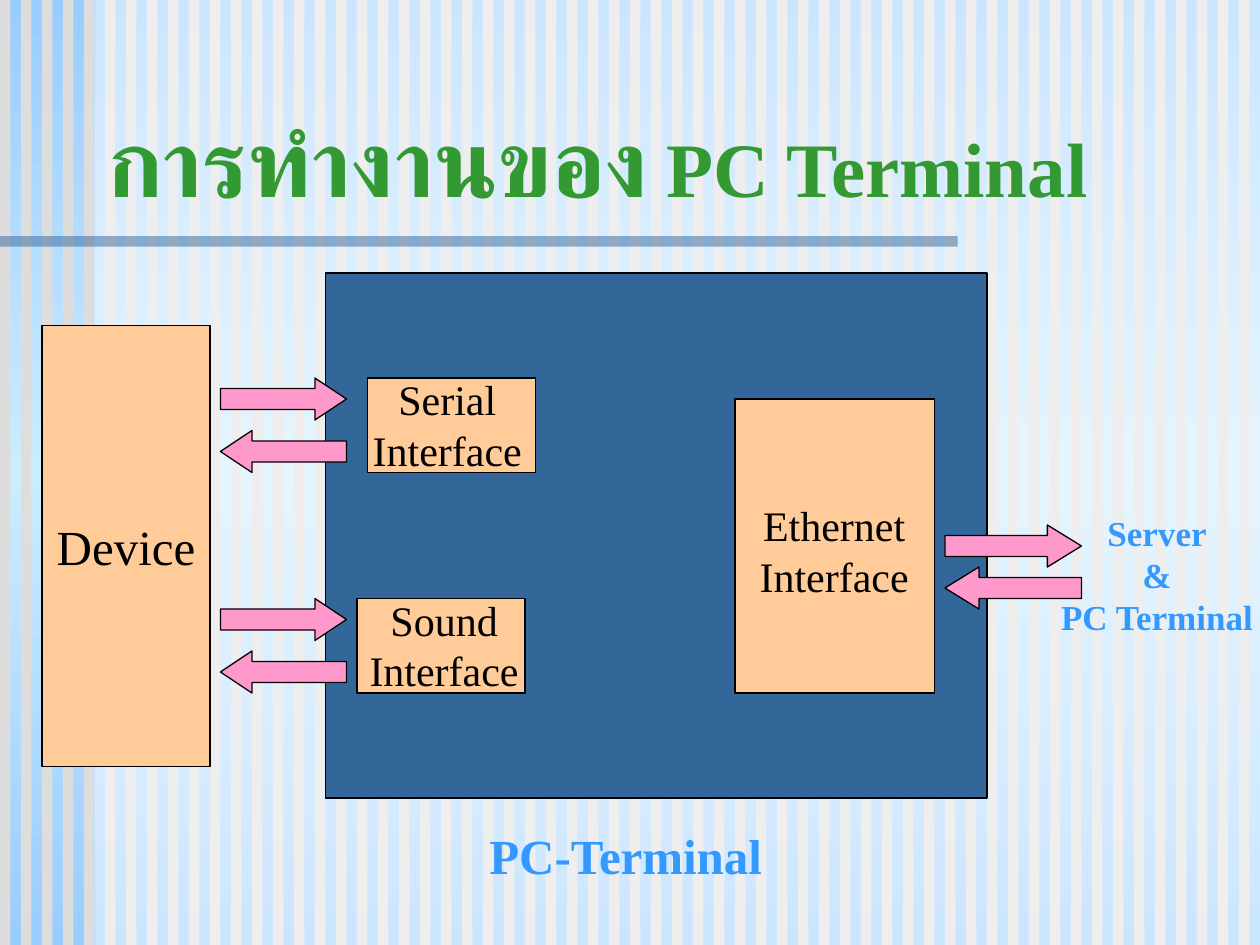
from copy import deepcopy
from typing import NamedTuple

from lxml.etree import SubElement
from pptx import Presentation
from pptx.dml.color import RGBColor
from pptx.enum.shapes import MSO_SHAPE
from pptx.enum.text import MSO_ANCHOR, MSO_AUTO_SIZE, PP_ALIGN
from pptx.oxml.ns import qn
from pptx.util import Emu, Pt

PX = 7620  # 120 px to the inch
SLIDE_W, SLIDE_H = 1200, 900
STRIPE_PITCH, STRIPE_W = 20, 10

BLACK, BLUE, SKY, GREEN = "000000", "336699", "3399FF", "339933"
PEACH, PINK = "FFCC99", "FF99CC"
SERIF = "Times New Roman"
BODY = {"name": SERIF, "size": Pt(24), "bold": False}


class Box(NamedTuple):
    x: int
    y: int
    w: int
    h: int


class Arrow(NamedTuple):
    box: Box
    head: float
    flipped: bool


class Label(NamedTuple):
    box: Box
    lines: list[str]
    size: int = 24
    color: str = BLACK
    bold: bool = False
    wrap: bool = False


def px(n: int) -> Emu:
    return Emu(n * PX)


def rgb(value: str) -> RGBColor:
    return RGBColor.from_string(value)


def style_run(r, color: str, **fmt) -> None:
    for key, value in {**BODY, **fmt}.items():
        setattr(r.font, key, value)
    r.font.color.rgb = rgb(color)


def add_block(s, box: Box, fill: str, outlined: bool = False,
              opacity: int = 100, kind=MSO_SHAPE.RECTANGLE):
    sp = s.shapes.add_shape(kind, *map(px, box))
    sp.shadow.inherit = False
    sp.fill.solid()
    sp.fill.fore_color.rgb = rgb(fill)
    if opacity < 100:
        clr = sp._element.spPr.find(qn("a:solidFill"))[0]
        SubElement(clr, qn("a:alpha"), val=str(opacity * 1000))
    if outlined:
        sp.line.color.rgb = rgb(BLACK)
        sp.line.width = Pt(0.75)
    else:
        sp.line.fill.background()
    return sp


def add_arrow(s, arrow: Arrow) -> None:
    sp = add_block(s, arrow.box, PINK, outlined=True, kind=MSO_SHAPE.RIGHT_ARROW)
    sp.adjustments[0], sp.adjustments[1] = 0.5, arrow.head
    if arrow.flipped:
        sp._element.spPr.find(qn("a:xfrm")).set("flipH", "1")


def write_lines(tf, label: Label) -> None:
    tf.word_wrap = label.wrap
    for i, line in enumerate(label.lines):
        p = tf.paragraphs[0] if i == 0 else tf.add_paragraph()
        p.alignment = PP_ALIGN.CENTER
        r = p.add_run()
        r.text = line
        style_run(r, label.color, size=Pt(label.size), bold=label.bold)


def add_label(s, label: Label) -> None:
    tf = s.shapes.add_textbox(*map(px, label.box)).text_frame
    write_lines(tf, label)


def add_backdrop(s) -> None:
    # Vertical gradient with a lighter middle
    fill = s.background.fill
    fill.gradient()
    fill.gradient_angle = 90
    first, last = fill.gradient_stops
    first.color.rgb = last.color.rgb = rgb("99CCFF")
    first.position, last.position = 0, 1
    stops = s.background._cSld.find(".//" + qn("a:gsLst"))
    stops.insert(1, deepcopy(stops[0]))
    middle = fill.gradient_stops[1]
    middle.position = 0.5
    middle.color.rgb = rgb("CCECFF")

    # Stripes, the pale veil over them and the title rule
    for x in range(0, SLIDE_W, STRIPE_PITCH):
        add_block(s, Box(x, 0, STRIPE_W, SLIDE_H), "DDDDDD")
    add_block(s, Box(90, 0, SLIDE_W - 90, SLIDE_H), "FFFFFF", opacity=50)
    add_block(s, Box(0, 225, 912, 10), BLUE, opacity=50)


def add_title(s) -> None:
    title = s.shapes.title
    s.shapes._spTree.append(title._element)  # in front of the backdrop
    title.left, title.top, title.width, title.height = map(px, Box(90, 92, 1096, 120))
    tf = title.text_frame
    tf.auto_size = MSO_AUTO_SIZE.NONE
    tf.vertical_anchor = MSO_ANCHOR.BOTTOM
    p = tf.paragraphs[0]
    p.alignment = PP_ALIGN.LEFT
    for text, color, fmt in [
        ("การทำงานของ", GREEN, {"name": "DejaVu Sans", "size": Pt(54), "bold": True}),
        (" ", "003366", {"size": Pt(44)}),
        ("PC Terminal", GREEN, {"size": Pt(44), "bold": True}),
    ]:
        r = p.add_run()
        r.text = text
        style_run(r, color, **fmt)
        # Thai text takes its typeface from the complex-script font
        SubElement(r.font._element, qn("a:cs"), typeface=r.font.name)


ARROWS = [
    Arrow(Box(210, top + 50 * i, 120, 40), 0.75, bool(i))
    for top in (360, 570) for i in (0, 1)
] + [Arrow(Box(900, 500 + 40 * i, 130, 40), 0.81, bool(i)) for i in (0, 1)]

INTERFACES = [Box(350, 360, 160, 90), Box(340, 570, 160, 90), Box(700, 380, 190, 280)]

DEVICE = Label(Box(40, 310, 160, 420), ["Device"], size=28)

LABELS = [
    Label(Box(340, 350, 172, 156), ["Serial", "Interface"], wrap=True),
    Label(Box(340, 560, 166, 156), ["Sound", "Interface"]),
    Label(Box(710, 470, 169, 108), ["Ethernet ", "Interface"]),
    Label(Box(452, 780, 288, 68), ["PC-Terminal"], 28, SKY, True),
    Label(Box(997, 481, 210, 132), ["Server", "&", "PC Terminal"], 20, SKY, True),
]


def main() -> None:
    prs = Presentation()
    prs.slide_width, prs.slide_height = px(SLIDE_W), px(SLIDE_H)
    s = prs.slides.add_slide(prs.slide_layouts[5])

    add_backdrop(s)
    # Terminal body, then the title and the parts on it
    add_block(s, Box(310, 260, 630, 500), BLUE, outlined=True)
    add_title(s)
    for box in INTERFACES:
        add_block(s, box, PEACH, outlined=True)
    for arrow in ARROWS:
        add_arrow(s, arrow)

    # External device and captions
    tf = add_block(s, DEVICE.box, PEACH, outlined=True).text_frame
    tf.vertical_anchor = MSO_ANCHOR.MIDDLE
    write_lines(tf, DEVICE)
    for label in LABELS:
        add_label(s, label)

    prs.save("out.pptx")


if __name__ == "__main__":
    main()
